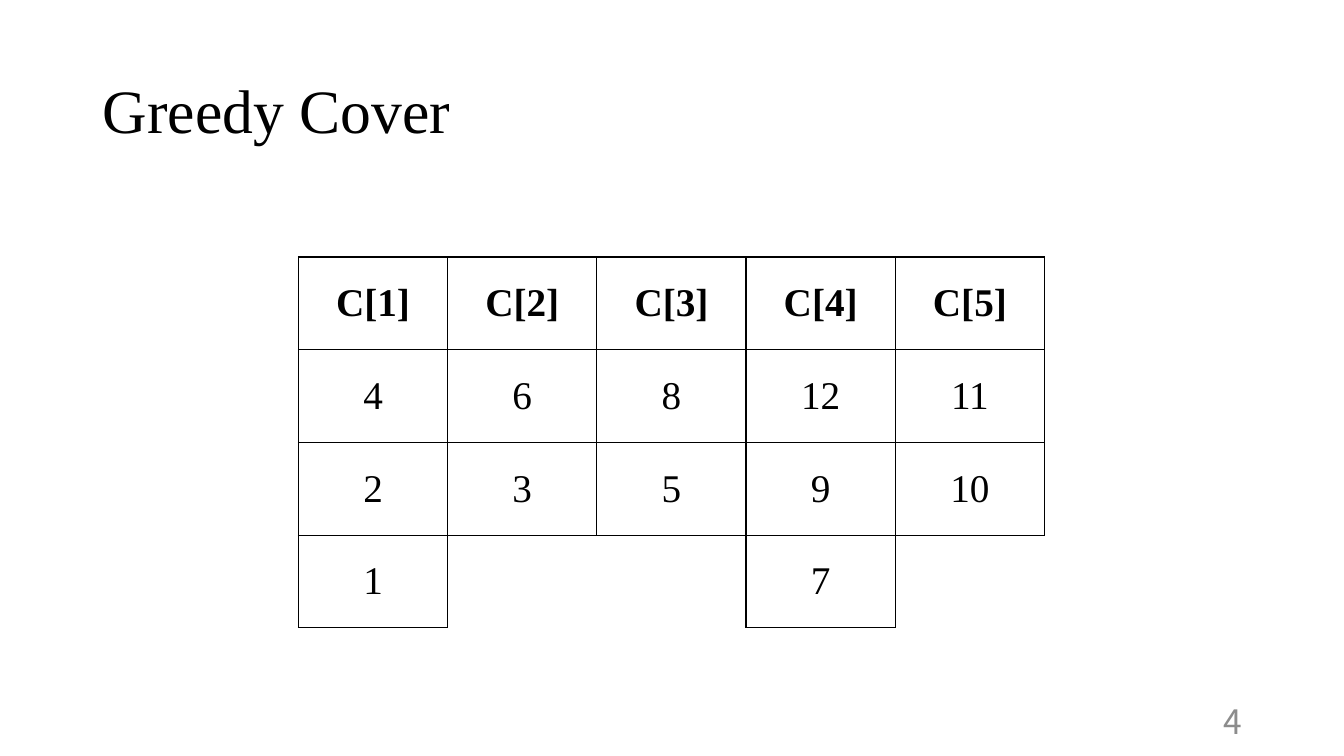
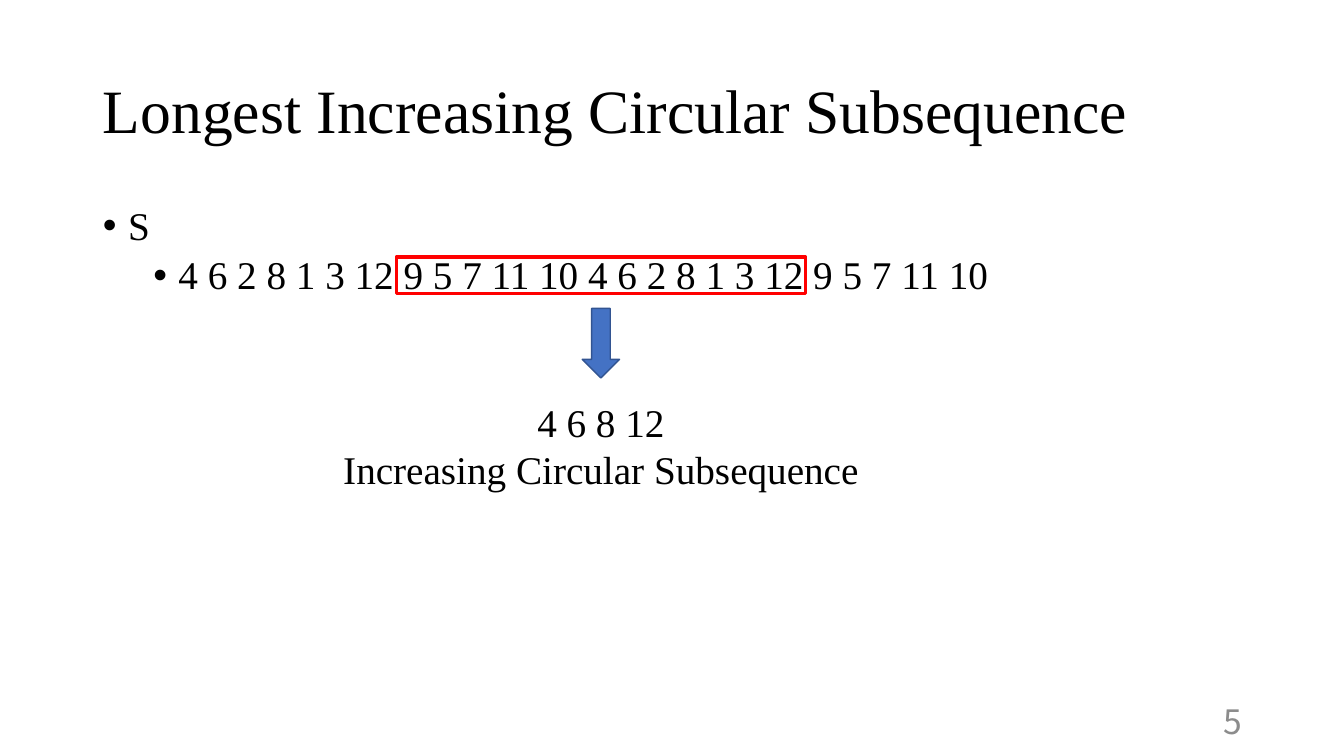
import dataclasses

import lxml.etree
import pptx
import pptx.dml.color
import pptx.enum.shapes
import pptx.enum.text
import pptx.oxml.ns
import pptx.util

Inches = pptx.util.Inches
Align = pptx.enum.text.PP_ALIGN
Anchor = pptx.enum.text.MSO_ANCHOR
AutoSize = pptx.enum.text.MSO_AUTO_SIZE
Preset = pptx.enum.shapes.MSO_SHAPE


@dataclasses.dataclass(frozen=True)
class Theme:
    ink: str = "000000"
    number_grey: str = "8C8C8C"
    highlight: str = "FF0000"
    arrow_fill: str = "4472C4"
    arrow_line: str = "325491"
    font: str = "Times New Roman"
    number_font: str = "Noto Sans CJK JP"
    title_size: int = 44
    text_size: int = 28
    number_size: int = 24
    thin_line: float = 1
    thick_line: float = 2.25


THEME = Theme()
TITLE_ONLY, TITLE_AND_BODY = 5, 1
GROUPS = [[4, 2, 1], [6, 3], [8, 5], [12, 9, 7], [11, 10]]
CELL_WIDTH, CELL_HEIGHT = 1.48, 0.92
SEQUENCE = "4 6 2 8 1 3 12 9 5 7 11 10"
FOCUS_CENTER = 5.96


def rgb(value):
    return pptx.dml.color.RGBColor.from_string(value)


def add_xml(parent, tag, index=None, **attributes):
    child = lxml.etree.Element(pptx.oxml.ns.qn(tag), attributes)
    parent.insert(len(parent) if index is None else index, child)
    return child


def write_text(frame, text, *, size=THEME.text_size, font=THEME.font,
               color=THEME.ink, bold=False, align=Align.LEFT, spacing=1.0,
               before=0, bullet=None, level=0):
    para = frame.paragraphs[0]
    if para.runs:
        para = frame.add_paragraph()
    para.level = level
    if bullet:
        properties = para._p.get_or_add_pPr()
        properties.set("marL", str(Inches(0.25 + 0.5 * level)))
        properties.set("indent", str(Inches(-0.25)))
        add_xml(properties, "a:buFont", typeface="Arial")
        add_xml(properties, "a:buChar", char=bullet)
    para.alignment = align
    para.line_spacing = spacing
    para.space_before = pptx.util.Pt(before)
    span = para.add_run()
    span.text = text
    span.font.size = pptx.util.Pt(size)
    span.font.name = font
    span.font.bold = bold
    span.font.color.rgb = rgb(color)


def place(box, left, top, width, height):
    box.left, box.top = Inches(left), Inches(top)
    box.width, box.height = Inches(width), Inches(height)


def add_text_box(page, left, top, width, height, *,
                 anchor=Anchor.TOP, auto_size=AutoSize.NONE):
    box = page.shapes.add_textbox(
        Inches(left), Inches(top), Inches(width), Inches(height))
    frame = box.text_frame
    frame.word_wrap = True
    frame.auto_size = auto_size
    frame.vertical_anchor = anchor
    return frame


def add_page(deck, layout, title, number):
    page = deck.slides.add_slide(deck.slide_layouts[layout])
    place(page.shapes.title, 0.92, 0.4, 11.5, 1.45)
    frame = page.shapes.title.text_frame
    frame.auto_size = AutoSize.NONE
    frame.vertical_anchor = Anchor.MIDDLE
    write_text(frame, title, size=THEME.title_size, spacing=0.9)
    footer = add_text_box(page, 9.42, 6.95, 3, 0.4, anchor=Anchor.MIDDLE)
    write_text(footer, str(number), size=THEME.number_size,
               font=THEME.number_font, color=THEME.number_grey,
               align=Align.RIGHT)
    return page


def set_borders(cell, sides):
    properties = cell._tc.get_or_add_tcPr()
    for index, side in enumerate("LRTB"):
        line = add_xml(properties, f"a:ln{side}", index,
                       w=str(pptx.util.Pt(THEME.thin_line)))
        if side in sides:
            fill = add_xml(line, "a:solidFill")
            add_xml(fill, "a:srgbClr", val=THEME.ink)
        else:
            add_xml(line, "a:noFill")


def add_group_table(page, groups, left, top):
    columns = [[f"C[{index}]", *map(str, group)]
               for index, group in enumerate(groups, 1)]
    row_count = max(map(len, columns))
    table = page.shapes.add_table(
        row_count, len(columns), Inches(left), Inches(top),
        Inches(CELL_WIDTH * len(columns)),
        Inches(CELL_HEIGHT * row_count)).table
    table.first_row = table.horz_banding = False
    for column in table.columns:
        column.width = Inches(CELL_WIDTH)
    for row in table.rows:
        row.height = Inches(CELL_HEIGHT)

    def filled(row, column):
        return 0 <= column < len(columns) and 0 <= row < len(columns[column])

    for column, values in enumerate(columns):
        for row in range(row_count):
            cell = table.cell(row, column)
            cell.fill.background()
            cell.vertical_anchor = Anchor.MIDDLE
            neighbours = {"L": (row, column - 1), "R": (row, column + 1),
                          "T": (row - 1, column), "B": (row + 1, column)}
            set_borders(cell, [side for side, spot in neighbours.items()
                               if filled(row, column) or filled(*spot)])
            if filled(row, column):
                write_text(cell.text_frame, values[row], bold=row == 0,
                           align=Align.CENTER)


def add_centered_shape(page, preset, top, width, height, *,
                       line, line_width, fill=None):
    shape = page.shapes.add_shape(
        preset, Inches(FOCUS_CENTER - width / 2), Inches(top),
        Inches(width), Inches(height))
    shape.shadow.inherit = False
    if fill:
        shape.fill.solid()
        shape.fill.fore_color.rgb = rgb(fill)
    else:
        shape.fill.background()
    shape.line.color.rgb = rgb(line)
    shape.line.width = pptx.util.Pt(line_width)


def build_cover_page(deck):
    page = add_page(deck, TITLE_ONLY, "Greedy Cover", 4)
    add_group_table(page, GROUPS, 2.96, 2.55)


def build_subsequence_page(deck):
    page = add_page(deck, TITLE_AND_BODY,
                    "Longest Increasing Circular Subsequence", 5)
    body = page.placeholders[1]
    place(body, 0.92, 2, 11.5, 4.76)
    body.text_frame.auto_size = AutoSize.NONE
    write_text(body.text_frame, "S", bullet="•", spacing=0.9)
    write_text(body.text_frame, f"{SEQUENCE} {SEQUENCE}", bullet="•",
               level=1, spacing=0.9, before=5)
    add_centered_shape(page, Preset.RECTANGLE, 2.55, 4.06, 0.36,
                       line=THEME.highlight, line_width=THEME.thick_line)
    caption_width = 5.34
    caption = add_text_box(page, FOCUS_CENTER - caption_width / 2, 3.9,
                           caption_width, 1.04,
                           auto_size=AutoSize.SHAPE_TO_FIT_TEXT)
    for text in ("4 6 8 12", "Increasing Circular Subsequence"):
        write_text(caption, text, align=Align.CENTER)
    add_centered_shape(page, Preset.DOWN_ARROW, 3.06, 0.37, 0.69,
                       line=THEME.arrow_line, line_width=THEME.thin_line,
                       fill=THEME.arrow_fill)


def main():
    deck = pptx.Presentation()
    deck.slide_width, deck.slide_height = Inches(13.33), Inches(7.5)
    build_cover_page(deck)
    build_subsequence_page(deck)
    deck.save("out.pptx")


if __name__ == "__main__":
    main()
